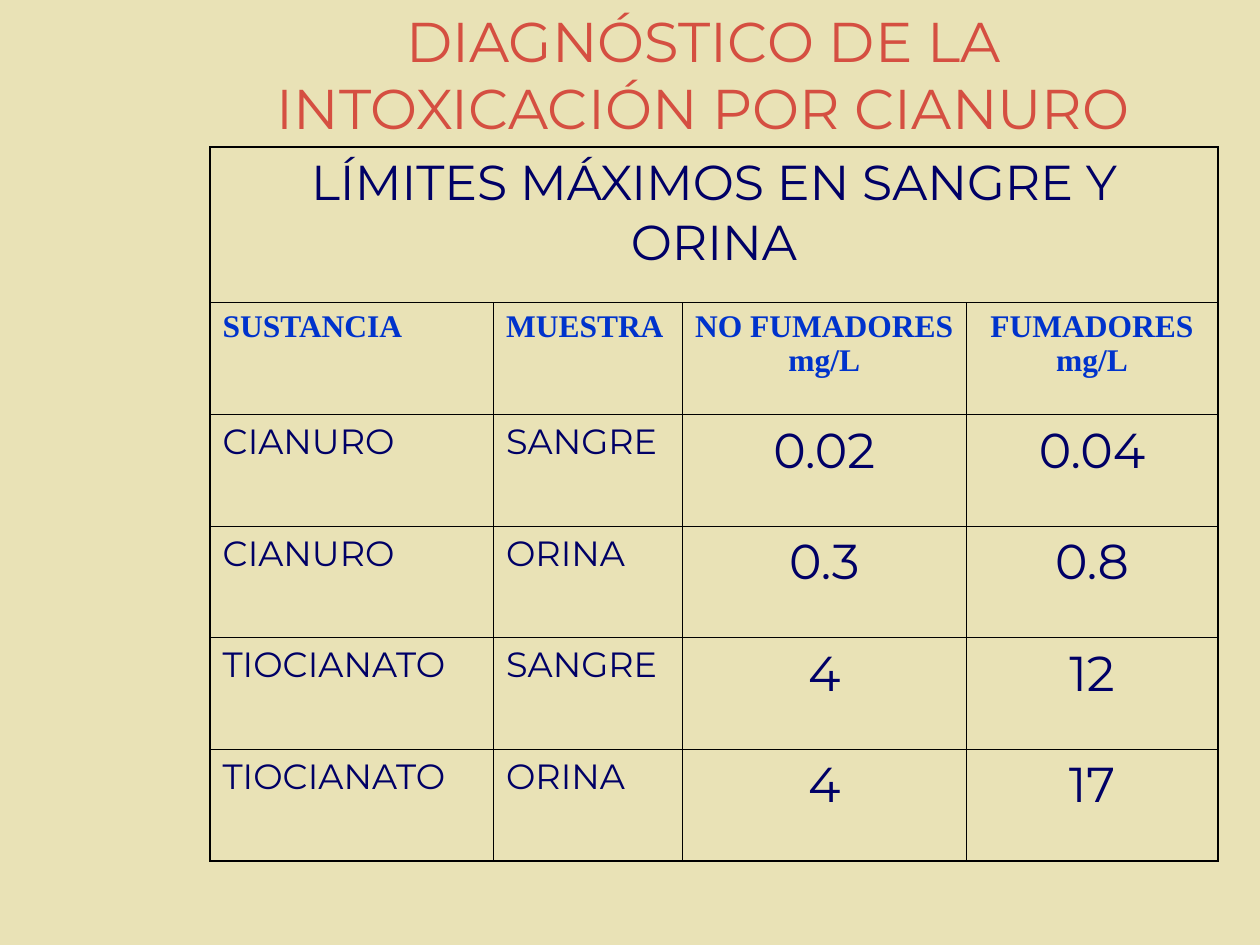
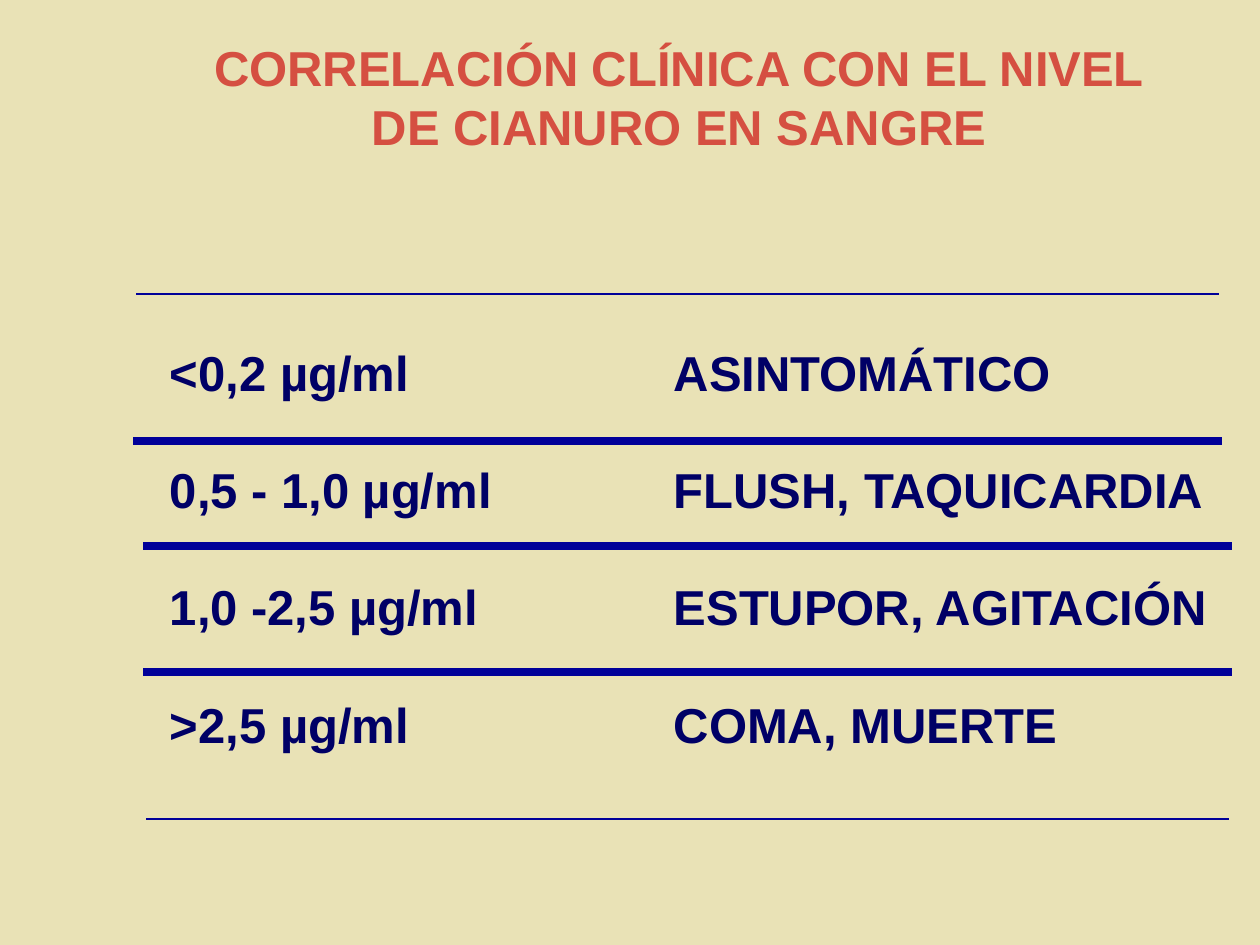
import pptx
import pptx.dml.color
import pptx.enum.shapes
import pptx.enum.text
import pptx.oxml
import pptx.oxml.ns
import pptx.util

Pt = pptx.util.Pt
ALIGN = pptx.enum.text.PP_ALIGN
COLORS = {
    "background": "E9E2B6",
    "title": "D54F41",
    "text": "000066",
    "heading": "0033CC",
    "rule": "000099",
    "border": "000000",
}


def format_paragraph(para, font, size, color, bold=False, align=ALIGN.LEFT):
    para.alignment = align
    para.space_before = Pt(0)
    para.font.name = font
    para.font.size = Pt(size)
    para.font.bold = bold
    para.font.color.rgb = pptx.dml.color.RGBColor.from_string(COLORS[color])


def fill_box(box, lines, left, top, width, height):
    box.left, box.top, box.width, box.height = Pt(left), Pt(top), Pt(width), Pt(height)
    frame = box.text_frame
    frame.text = "\n".join(lines)
    frame.word_wrap = True
    frame.auto_size = pptx.enum.text.MSO_AUTO_SIZE.NONE
    frame.vertical_anchor = pptx.enum.text.MSO_ANCHOR.TOP
    return frame.paragraphs


# Deck and shared background
deck = pptx.Presentation()
deck.slide_width, deck.slide_height = Pt(720), Pt(540)
title_layout = deck.slide_layouts[5]
background = deck.slide_master.background.fill
background.solid()
background.fore_color.rgb = pptx.dml.color.RGBColor.from_string(COLORS["background"])

# Slide 1: title
page = deck.slides.add_slide(title_layout)
title = ["DIAGNÓSTICO DE LA INTOXICACIÓN POR CIANURO"]
for para in fill_box(page.shapes.title, title, 102, 0, 600, 84):
    format_paragraph(para, "Montserrat", 32, "title", align=ALIGN.CENTER)

# Slide 1: table of limits
limits = [
    ["LÍMITES MÁXIMOS EN SANGRE Y ORINA", "", "", ""],
    ["SUSTANCIA", "MUESTRA", "NO FUMADORES mg/L", "FUMADORES mg/L"],
    ["CIANURO", "SANGRE", "0.02", "0.04"],
    ["CIANURO", "ORINA", "0.3", "0.8"],
    ["TIOCIANATO", "SANGRE", "4", "12"],
    ["TIOCIANATO", "ORINA", "4", "17"],
]
column_widths = [162, 108, 162, 144]
row_heights = [89] + [63.8] * 5
last_row, last_column = len(row_heights) - 1, len(column_widths) - 1
table = page.shapes.add_table(
    len(row_heights), len(column_widths),
    Pt(120), Pt(84), Pt(sum(column_widths)), Pt(sum(row_heights)),
).table
table.first_row = table.horz_banding = False
for column, width in zip(table.columns, column_widths):
    column.width = Pt(width)
for row, height in zip(table.rows, row_heights):
    row.height = Pt(height)
table.cell(0, 0).merge(table.cell(0, last_column))

for r, values in enumerate(limits):
    for c, value in enumerate(values):
        cell = table.cell(r, c)
        # Thin grid with a heavier outer frame; the merged top row reaches both sides
        outer_edges = {"lnL": c == 0, "lnR": c == last_column or r == 0,
                       "lnT": r == 0, "lnB": r == last_row}
        properties = cell._tc.get_or_add_tcPr()
        for edge, is_outer in outer_edges.items():
            width = Pt(1.08 if is_outer else 0.45)
            properties.append(pptx.oxml.parse_xml(
                f'<a:{edge} {pptx.oxml.ns.nsdecls("a")} w="{width}"><a:solidFill>'
                f'<a:srgbClr val="{COLORS["border"]}"/></a:solidFill></a:{edge}>'))
        cell.fill.background()
        if not value:
            continue
        cell.text = value
        para = cell.text_frame.paragraphs[0]
        align = ALIGN.CENTER if r == 0 or c >= 2 else ALIGN.LEFT
        if r == 1:
            format_paragraph(para, "Times New Roman", 18, "heading", True, align)
        else:
            size = 28 if align == ALIGN.CENTER else 20
            format_paragraph(para, "Montserrat", size, "text", align=align)

# Slide 2: title
page = deck.slides.add_slide(title_layout)
title = ["CORRELACIÓN CLÍNICA CON EL NIVEL", "DE CIANURO EN SANGRE"]
for para in fill_box(page.shapes.title, title, 114.5, 18, 547, 75):
    format_paragraph(para, "Arial", 28, "title", True, ALIGN.CENTER)

# Slide 2: blood levels and their signs, in two tabbed columns
levels = [
    "<0,2 µg/ml\tASINTOMÁTICO",
    "0,5 - 1,0 µg/ml\tFLUSH, TAQUICARDIA",
    "1,0 -2,5 µg/ml\tESTUPOR, AGITACIÓN",
    ">2,5 µg/ml\tCOMA, MUERTE",
]
levels_area = (90, 192, 612, 243)
levels_box = page.shapes.add_textbox(*map(Pt, levels_area))
for i, para in enumerate(fill_box(levels_box, levels, *levels_area)):
    para._p.get_or_add_pPr().append(pptx.oxml.parse_xml(
        f'<a:tabLst {pptx.oxml.ns.nsdecls("a")}>'
        f'<a:tab pos="{Pt(288)}" algn="l"/></a:tabLst>'))
    format_paragraph(para, "Arial", 28, "text", True)
    if i:
        para.space_before = Pt(33.4)

# Slide 2: rules between the levels (left, top, weight)
rules = [(78, 168, 1), (84, 468, 1), (78, 252, 4.5), (84, 312, 4.5), (84, 384, 4.5)]
for left, top, weight in rules:
    rule = page.shapes.add_connector(
        pptx.enum.shapes.MSO_CONNECTOR.STRAIGHT,
        Pt(left), Pt(top), Pt(left + 618), Pt(top))
    rule.line.width = Pt(weight)
    rule.line.color.rgb = pptx.dml.color.RGBColor.from_string(COLORS["rule"])
    properties = rule._element.spPr
    properties.find(pptx.oxml.ns.qn("a:ln")).set("cap", "sq")
    properties.append(
        pptx.oxml.parse_xml(f'<a:effectLst {pptx.oxml.ns.nsdecls("a")}/>'))

deck.save("out.pptx")
